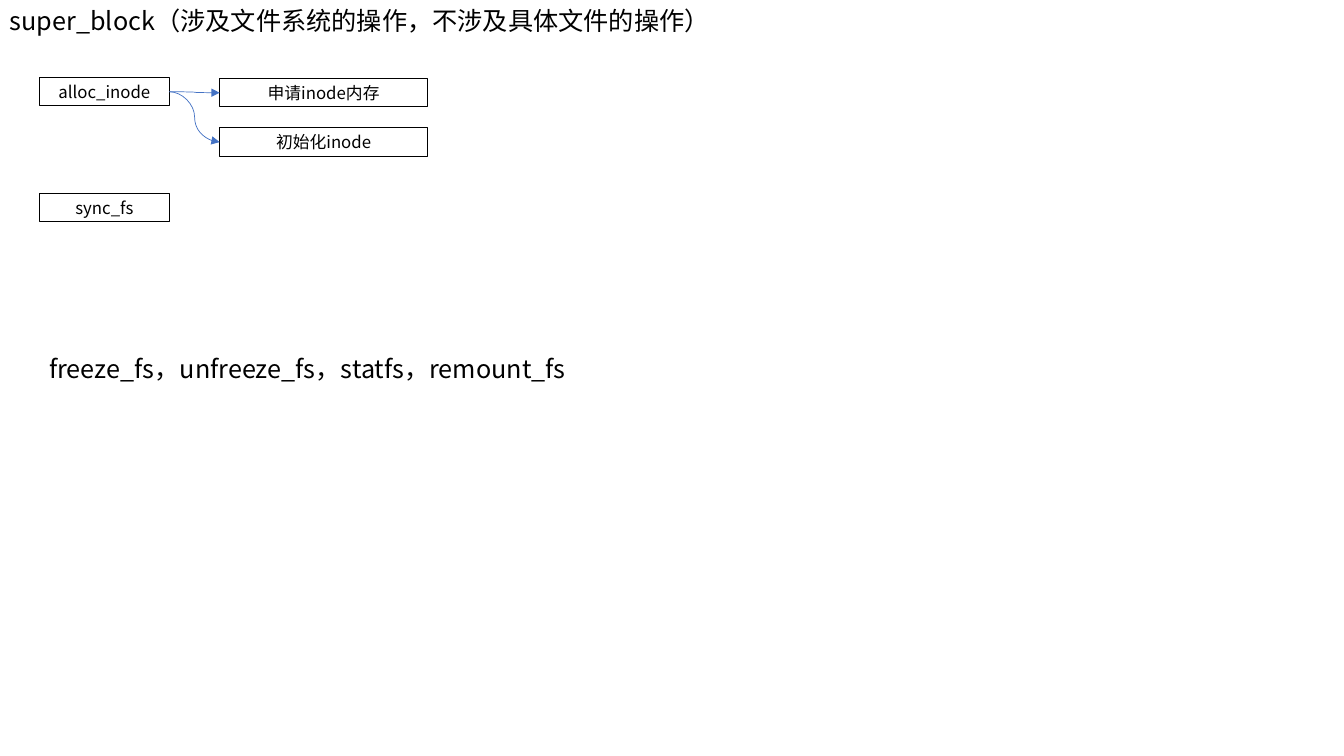
import pptx
import pptx.util
import pptx.dml.color
import pptx.enum.shapes
import pptx.enum.text
import pptx.oxml.ns
import lxml.etree

BLACK = pptx.dml.color.RGBColor(0x00, 0x00, 0x00)
WHITE = pptx.dml.color.RGBColor(0xFF, 0xFF, 0xFF)
BLUE = pptx.dml.color.RGBColor(0x44, 0x72, 0xC4)
FONT = "Noto Sans CJK SC"
SLIDE_WIDTH = pptx.util.Inches(13.33)
SLIDE_HEIGHT = pptx.util.Inches(7.5)
BOX_HEIGHT = 3.73
OPERATION_WIDTH = 9.68
STEP_OFFSET = 13.42
STEP_WIDTH = 15.45
STEP_DROP = 0.13
STEP_PITCH = 6.53


def place(left, top, width, height):
    """Turn percentages of the slide's size into lengths."""
    return [
        int(share * size / 100)
        for share, size in zip(
            (left, top, width, height), (SLIDE_WIDTH, SLIDE_HEIGHT) * 2
        )
    ]


def write_text(shape, text, size=12, alignment=None, wrap=True):
    """Write one formatted paragraph into a shape."""
    frame = shape.text_frame
    frame.word_wrap = wrap
    paragraph = frame.paragraphs[0]
    paragraph.alignment = alignment
    run = paragraph.add_run()
    run.text = text
    run.font.size = pptx.util.Pt(size)
    run.font.name = FONT
    run.font.color.rgb = BLACK
    properties = run.font._element
    east_asian = lxml.etree.SubElement(properties, pptx.oxml.ns.qn("a:ea"))
    east_asian.set("typeface", FONT)


def add_box(slide, text, left, top, width):
    """Add an outlined box with a centred label."""
    shape = slide.shapes.add_shape(
        pptx.enum.shapes.MSO_SHAPE.RECTANGLE, *place(left, top, width, BOX_HEIGHT)
    )
    shape.shadow.inherit = False
    shape.fill.solid()
    shape.fill.fore_color.rgb = WHITE
    shape.line.color.rgb = BLACK
    shape.line.width = pptx.util.Pt(0.75)
    shape.text_frame.vertical_anchor = pptx.enum.text.MSO_ANCHOR.MIDDLE
    write_text(
        shape, text, alignment=pptx.enum.text.PP_ALIGN.CENTER, wrap=False
    )
    return shape


def add_arrow(slide, source, target):
    """Join the right side of one box to the left side of another."""
    connector = slide.shapes.add_connector(
        pptx.enum.shapes.MSO_CONNECTOR.CURVE, 0, 0, 0, 0
    )
    connector.begin_connect(source, 3)
    connector.end_connect(target, 1)
    connector.line.color.rgb = BLUE
    connector.line.width = pptx.util.Pt(0.5)
    line = connector.line._get_or_add_ln()
    lxml.etree.SubElement(line, pptx.oxml.ns.qn("a:tailEnd")).set("type", "triangle")
    lxml.etree.SubElement(
        connector._element.spPr, pptx.oxml.ns.qn("a:effectLst")
    )


def add_operation(slide, name, left, top, steps=()):
    """Add an operation box with arrows to its steps."""
    operation = add_box(slide, name, left, top, OPERATION_WIDTH)
    for index, step in enumerate(steps):
        step_top = top + STEP_DROP + index * STEP_PITCH
        target = add_box(slide, step, left + STEP_OFFSET, step_top, STEP_WIDTH)
        add_arrow(slide, operation, target)


def add_heading(slide, text, left, top, width):
    """Add a large line of text."""
    heading = slide.shapes.add_textbox(*place(left, top, width, 5.33))
    heading.text_frame.auto_size = pptx.enum.text.MSO_AUTO_SIZE.SHAPE_TO_FIT_TEXT
    write_text(heading, text, size=18)


def build_super_block(slide):
    """Lay out the super block operations."""
    add_heading(
        slide, "super_block（涉及文件系统的操作，不涉及具体文件的操作）", 0, 0, 73.29
    )
    add_operation(
        slide, "alloc_inode", 2.93, 10.27, ("申请inode内存", "初始化inode")
    )
    add_operation(slide, "sync_fs", 2.93, 25.6)
    add_heading(
        slide, "freeze_fs，unfreeze_fs，statfs，remount_fs", 2.93, 46.13, 47.71
    )


def main():
    """Build and save the presentation."""
    presentation = pptx.Presentation()
    presentation.slide_width = SLIDE_WIDTH
    presentation.slide_height = SLIDE_HEIGHT
    build_super_block(presentation.slides.add_slide(presentation.slide_layouts[6]))
    presentation.save("out.pptx")


main()
